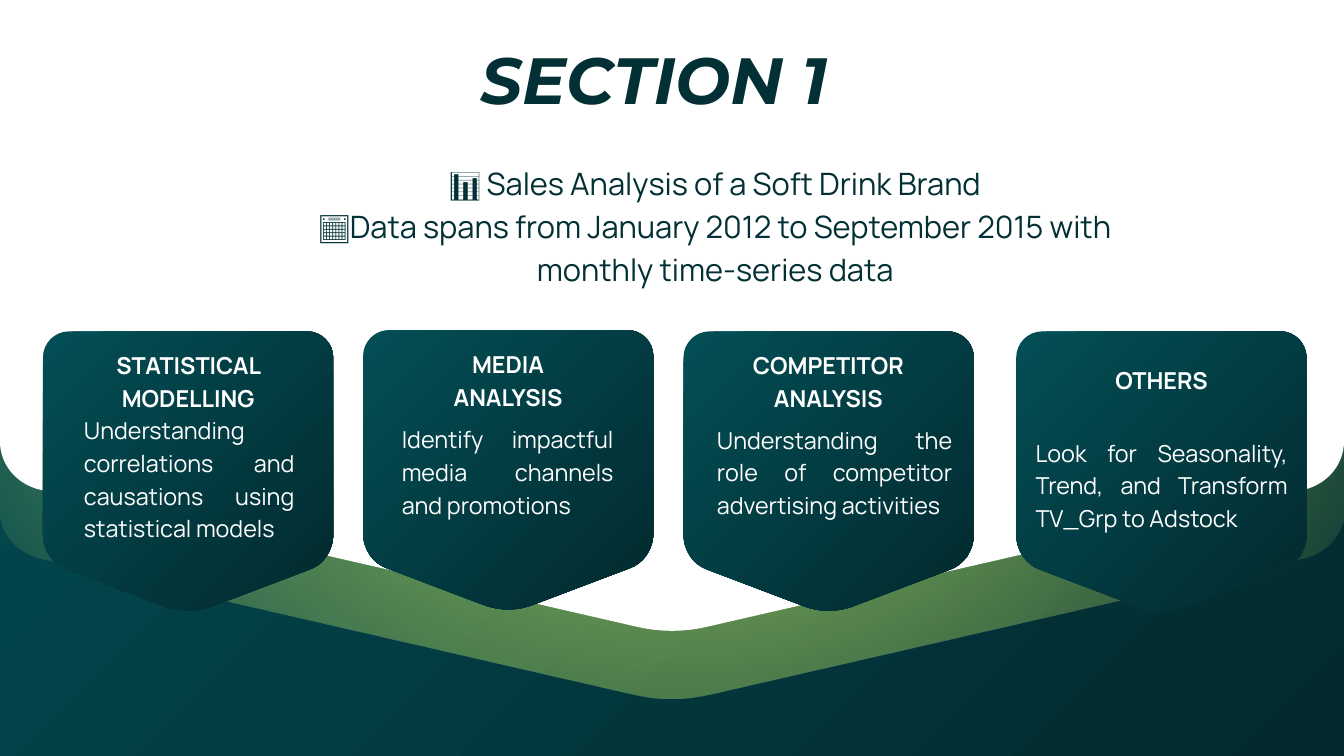
from lxml import etree
from pptx import Presentation
from pptx.dml.color import RGBColor
from pptx.enum.text import MSO_ANCHOR, MSO_AUTO_SIZE, PP_ALIGN
from pptx.oxml.ns import qn
from pptx.util import Pt

CENTER, JUSTIFY = PP_ALIGN.CENTER, PP_ALIGN.JUSTIFY
TOP = MSO_ANCHOR.TOP
GROW = MSO_AUTO_SIZE.SHAPE_TO_FIT_TEXT

TEAL, DEEP, INK, WHITE = "034E55", "022A2E", "023034", "FFFFFF"
LIME, PALE_LIME = "AFD255", "D8FF72"
HEAD_FONT, BODY_FONT = "Montserrat", "Manrope"


def rgb(value):
    return RGBColor.from_string(value)


def write(tf, text, size=25, font=BODY_FONT, color=WHITE, bold=False,
          italic=False, align=CENTER, spacing=35):
    """Fill a text frame, one paragraph per line of text."""
    tf.word_wrap = True
    tf.auto_size = GROW
    tf.vertical_anchor = TOP
    tf.margin_left = tf.margin_right = tf.margin_top = tf.margin_bottom = 0
    for i, line in enumerate(text.split("\n")):
        p = tf.paragraphs[0] if i == 0 else tf.add_paragraph()
        p.alignment = align
        p.line_spacing = Pt(spacing)
        p.space_before = Pt(0)
        r = p.add_run()
        r.text = line
        r.font.size, r.font.name = Pt(size), font
        r.font.bold, r.font.italic = bold, italic
        r.font.color.rgb = rgb(color)


class Deck:
    def __init__(self, prs):
        self.s = prs.slides.add_slide(prs.slide_layouts[1])

    def gradient(self, fill, first=TEAL, last=DEEP):
        fill.gradient()
        fill.gradient_angle = 315
        for stop, color in zip(fill.gradient_stops, (first, last)):
            stop.color.rgb = rgb(color)

    def placeholder(self, index, x, y, w, h, text, **fmt):
        sp = self.s.placeholders[index]
        sp.left, sp.top, sp.width, sp.height = Pt(x), Pt(y), Pt(w), Pt(h)
        write(sp.text_frame, text, **fmt)
        for p in sp.text_frame.paragraphs:
            pPr = p._p.get_or_add_pPr()
            pPr.set("marL", "0")
            pPr.set("indent", "0")
            etree.SubElement(pPr, qn("a:buNone"))
        self.s.shapes._spTree.append(sp._element)  # in front of the panels

    def text(self, x, y, w, h, text, **fmt):
        sp = self.s.shapes.add_textbox(Pt(x), Pt(y), Pt(w), Pt(h))
        write(sp.text_frame, text, **fmt)

    def shield(self, x, y, w, side, slant, tip, corner, inset, half):
        """Rounded panel with a pointed base; side, slant and tip are depths."""
        mid, k, drop = w / 2, corner * 0.45, slant - side
        # Left half: corner, side, shoulder, slope, tip
        left = [(corner, 0),
                (k, 0), (0, k), (0, corner),
                (0, side),
                (0, side + drop * 0.46), (inset * 0.4, side + drop * 0.86),
                (inset, slant),
                (mid - half, tip),
                (mid - half / 3, tip + 6.5)]
        # The right half mirrors the left
        right = [(w - px, py) for px, py in reversed(left)]
        pts = [(Pt(x + px), Pt(y + py)) for px, py in left + right]
        builder = self.s.shapes.build_freeform(*pts[0])
        builder.add_line_segments(pts[1:], close=True)
        sp = builder.convert_to_shape()
        # Curves and straight sides alternate: three points, then one
        lines = list(sp._element.iter(qn("a:lnTo")))
        for i in range(0, 19, 4):
            bezier = etree.Element(qn("a:cubicBezTo"))
            lines[i].addprevious(bezier)
            for line in lines[i:i + 3]:
                bezier.append(line[0])
                line.getparent().remove(line)
        sp.shadow.inherit = False
        sp.line.fill.background()
        return sp

    def glow(self, sp):
        """Radial gradient that fades out at the edge."""
        self.gradient(sp.fill, LIME, PALE_LIME)
        grad = sp._element.spPr.find(qn("a:gradFill"))
        grad.remove(grad.find(qn("a:lin")))
        radial = etree.SubElement(grad, qn("a:path"), path="circle")
        etree.SubElement(radial, qn("a:fillToRect"),
                         {side: "50000" for side in "ltrb"})
        last = grad.findall(".//" + qn("a:srgbClr"))[-1]
        etree.SubElement(last, qn("a:alpha"), val="0")

    def card(self, x, y, head, head_box, body, body_box):
        sp = self.shield(x, y, 311, 217.5, 255.5, 294.5, 28, 26, 26.5)
        self.gradient(sp.fill)
        self.text(*head_box, head, bold=True)
        self.text(*body_box, body, align=JUSTIFY)


def main():
    prs = Presentation()
    prs.slide_width, prs.slide_height = Pt(1440), Pt(810)
    deck = Deck(prs)

    # Background, green band and white panel
    deck.gradient(deck.s.background.fill)
    deck.glow(deck.shield(0, -399, 1440, 944, 996.5, 1142.5, 43, 42, 42))
    white = deck.shield(0, -514, 1440, 987, 1038, 1185, 42, 40, 40)
    white.fill.solid()
    white.fill.fore_color.rgb = rgb(WHITE)

    # Title and introduction
    deck.placeholder(0, 313.2, 56.2, 774.7, 73.4, "SECTION 1", size=70,
                     font=HEAD_FONT, color=INK, bold=True, italic=True,
                     spacing=69.3)
    deck.placeholder(1, 288.7, 170, 955.5, 229.7,
                     "📊 Sales Analysis of a Soft Drink Brand\n"
                     "📅Data spans from January 2012 to September 2015 with "
                     "monthly time-series data",
                     size=33, color=INK, spacing=46.2)

    # Cards: left, top, heading and its box, text and its box
    cards = [
        (46, 355, "STATISTICAL MODELLING", (105.8, 371.5, 191.5, 69),
         "Understanding correlations and causations using statistical models",
         (90, 441.2, 225.4, 138)),
        (732.3, 355, "COMPETITOR ANALYSIS", (772.6, 371.5, 229.7, 69),
         "Understanding the role of competitor advertising activities",
         (768.2, 451.4, 252, 138)),
        (1088.8, 355, "OTHERS", (1075, 387.4, 339.1, 34.5),
         "Look for Seasonality, Trend, and Transform TV_Grp to Adstock",
         (1109.5, 465.1, 270, 103.7)),
        (389, 353.6, "MEDIA ANALYSIS", (448.6, 370.1, 191.5, 69),
         "Identify impactful media channels and promotions",
         (430.5, 450.7, 226.8, 104.4)),
    ]
    for card in cards:
        deck.card(*card)

    prs.save("out.pptx")


if __name__ == "__main__":
    main()
